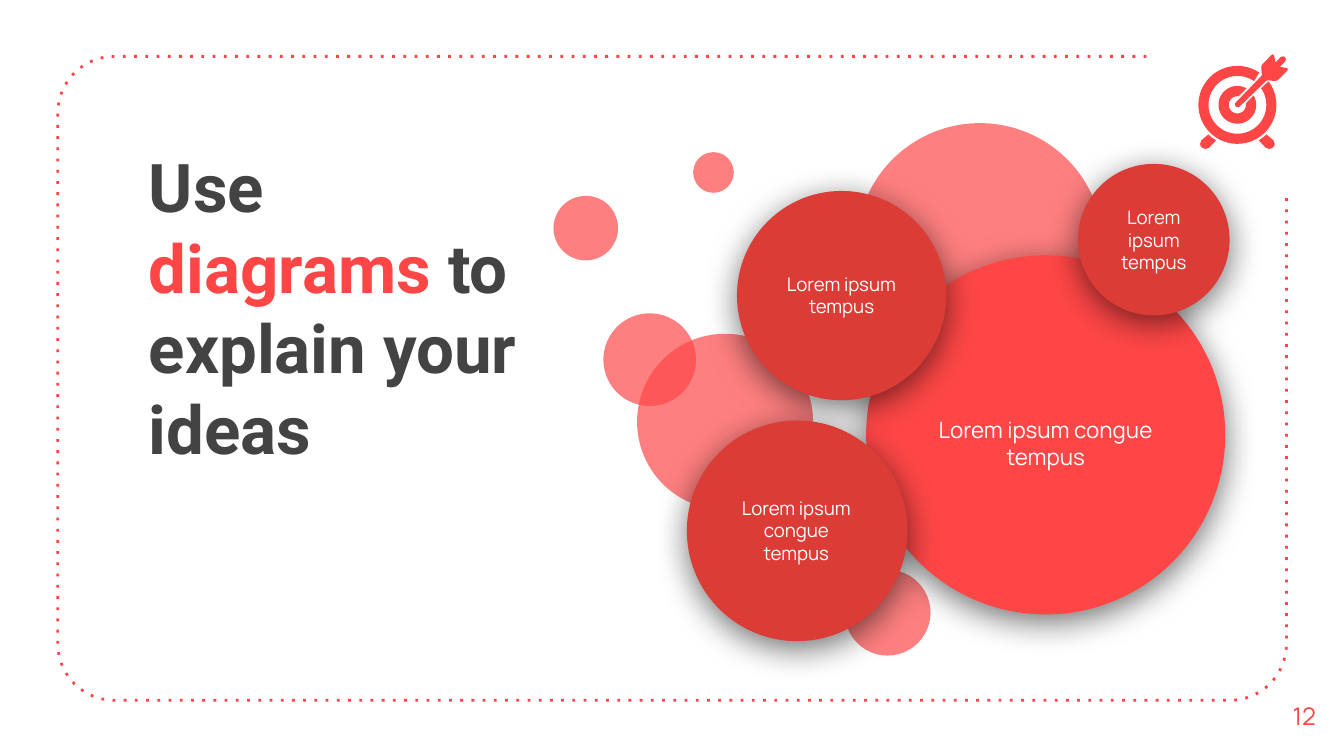
from dataclasses import dataclass
from math import cos, radians, sin

from lxml.etree import SubElement
from pptx import Presentation
from pptx.dml.color import RGBColor
from pptx.enum.dml import MSO_LINE
from pptx.enum.shapes import MSO_SHAPE
from pptx.enum.text import MSO_ANCHOR as Anchor, PP_ALIGN as Align
from pptx.oxml.ns import qn
from pptx.util import Pt


@dataclass(frozen=True)
class Theme:
    red: str = "FE4646"
    dark_red: str = "DB3C36"
    ink: str = "434343"
    white: str = "FFFFFF"
    shadow: str = "000000"
    heading_font: str = "Roboto"
    body_font: str = "Manrope"
    title_size: float = 36
    number_size: float = 13
    large_size: float = 12
    small_size: float = 10


def arc(center, radius, start, end, steps=48):
    """Points on a circle; angles in degrees, counter-clockwise from the right."""
    angles = [radians(start + (end - start) * i / steps) for i in range(steps + 1)]
    return [(center[0] + radius * cos(a), center[1] - radius * sin(a)) for a in angles]


class Painter:
    def __init__(self, page, theme):
        self.page, self.theme = page, theme

    def fill(self, shape, color, opacity=None):
        shape.shadow.inherit = False
        shape.fill.solid()
        shape.fill.fore_color.rgb = RGBColor.from_string(color)
        shape.line.fill.background()
        if opacity:
            color_node = next(shape._element.spPr.iter(qn("a:srgbClr")))
            SubElement(color_node, qn("a:alpha"), val=str(opacity * 1000))

    def circle(self, left, top, size, color, opacity=None):
        shape = self.page.shapes.add_shape(
            MSO_SHAPE.OVAL, Pt(left), Pt(top), Pt(size), Pt(size))
        self.fill(shape, color, opacity)
        return shape

    def drop_shadow(self, shape):
        effects = shape._element.spPr.find(qn("a:effectLst"))
        shadow = SubElement(effects, qn("a:outerShdw"), blurRad=str(Pt(18)),
                            dist=str(Pt(4)), dir="5400000", algn="bl", rotWithShape="0")
        color = SubElement(shadow, qn("a:srgbClr"), val=self.theme.shadow)
        SubElement(color, qn("a:alpha"), val="55000")

    def outline(self, points, close=True):
        start, *rest = [(Pt(x), Pt(y)) for x, y in points]
        builder = self.page.shapes.build_freeform(*start)
        builder.add_line_segments(rest, close=close)
        return builder.convert_to_shape()

    def polygon(self, points):
        self.fill(self.outline(points), self.theme.red)

    def dotted_line(self, points):
        shape = self.outline(points, close=False)
        shape.shadow.inherit = False
        shape.fill.background()
        shape.line.color.rgb = RGBColor.from_string(self.theme.red)
        shape.line.width = Pt(1.5)
        shape.line.dash_style = MSO_LINE.ROUND_DOT
        next(shape._element.iter(qn("a:prstDash"))).set("val", "dot")

    def text(self, left, top, width, height, spans, size, font,
             bold=False, align=Align.CENTER, anchor=Anchor.MIDDLE):
        box = self.page.shapes.add_textbox(Pt(left), Pt(top), Pt(width), Pt(height))
        frame = box.text_frame
        frame.word_wrap = True
        frame.vertical_anchor = anchor
        frame.margin_left = frame.margin_right = Pt(7.2)
        frame.margin_top = frame.margin_bottom = Pt(7.2)
        para = frame.paragraphs[0]
        para.alignment = align
        para.font.size, para.font.name, para.font.bold = Pt(size), font, bold
        for words, color in spans:
            span = para.add_run()
            span.text = words
            span.font.color.rgb = RGBColor.from_string(color)

    def bubble(self, circle, label, words, color, size):
        self.drop_shadow(self.circle(*circle, color))
        self.text(*label, [(words, self.theme.white)], size, self.theme.body_font)

    def ring(self, center, outer, inner, outer_gap, inner_gap):
        """A ring left open between the two angles of each gap."""
        self.polygon(arc(center, outer, outer_gap[1], outer_gap[0] + 360)
                     + arc(center, inner, inner_gap[0] + 360, inner_gap[1]))


theme = Theme()
deck = Presentation()
deck.slide_width, deck.slide_height = Pt(720), Pt(405)
page = deck.slides.add_slide(deck.slide_layouts[6])
painter = Painter(page, theme)

# Dotted frame, open at the top right
left, top, right, bottom, radius = 31, 30.2, 689.2, 375.2, 30.3
painter.dotted_line(
    [(614.2, top)]
    + arc((left + radius, top + radius), radius, 90, 180, 16)
    + arc((left + radius, bottom - radius), radius, 180, 270, 16)
    + arc((right - radius, bottom - radius), radius, 270, 360, 16)
    + [(right, 105.2)])

# Title and page number
painter.text(72.7, 70.6, 213.8, 67.7,
             [("Use ", theme.ink), ("diagrams ", theme.red),
              ("to explain your ideas", theme.ink)],
             theme.title_size, theme.heading_font, True, Align.LEFT, Anchor.TOP)
painter.text(677.5, 361.4, 42.5, 44.6, [("12", theme.red)],
             theme.number_size, theme.body_font)

# Translucent circles: left, top, diameter
for circle in [(452.5, 305.2, 46), (296.5, 104.9, 34.6), (341.3, 178.8, 94.3),
               (458.8, 66, 132.3), (323.3, 167.9, 49.6), (371.3, 81.5, 21.8)]:
    painter.circle(*circle, theme.red, 69)

# Labelled bubbles: circle, label area, words, colour, type size
for bubble in [
    ((464, 136.8, 192.4), (486.7, 191.5, 146.9, 91.4),
     "Lorem ipsum congue tempus", theme.red, theme.large_size),
    ((394.8, 102.3, 112.1), (412.6, 121, 76.3, 74.2),
     "Lorem ipsum tempus", theme.dark_red, theme.small_size),
    ((368, 225.3, 118.2), (384.5, 247, 84.2, 74.2),
     "Lorem ipsum congue tempus", theme.dark_red, theme.small_size),
    ((577.5, 87.8, 81.2), (590.4, 101.5, 55.4, 54),
     "Lorem ipsum tempus", theme.dark_red, theme.small_size),
]:
    painter.bubble(*bubble)

# Target icon: rings, legs and arrow, measured from the bullseye
center_x, center_y = bullseye = (662.9, 56.2)
painter.ring(bullseye, 20.9, 15.5, (37, 56), (35, 55))
painter.ring(bullseye, 10.1, 4.6, (30, 61), (9, 81))

leg = [(15.6, 15.8), (19.3, 19), (20, 21), (19.6, 22.3), (18.5, 23.2),
       (17, 23.6), (15.1, 22.9), (11.4, 19), (13.6, 17.6)]
for side in (-1, 1):
    painter.polygon([(center_x + side * x, center_y + y) for x, y in leg])

half_arrow = [(25.6, -25.6), (24.5, -26), (23.3, -25.7), (20.4, -22.7),
              (19.7, -26.6), (19, -27.1), (18.2, -26.6), (13.9, -22.3),
              (13, -21.2), (12.8, -19.8), (13.2, -15.8), (-1.2, -0.9), (-1.3, 0.3)]
arrow = half_arrow + [(-y, -x) for x, y in reversed(half_arrow)]
painter.polygon([(center_x + x, center_y + y) for x, y in arrow])

deck.save("out.pptx")
